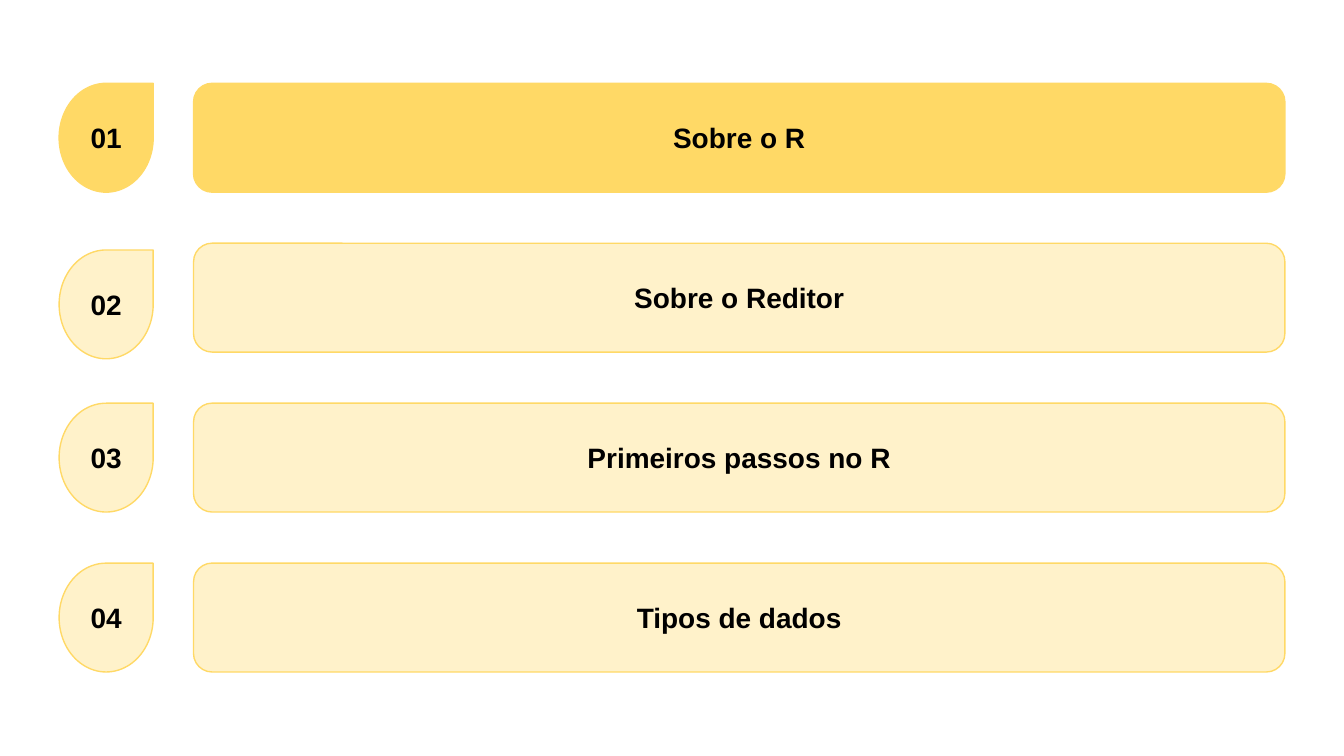
from lxml.etree import SubElement
from pptx import Presentation
from pptx.dml.color import RGBColor
from pptx.enum.shapes import MSO_SHAPE as Preset
from pptx.enum.text import MSO_ANCHOR as Anchor, PP_ALIGN as Align
from pptx.oxml.ns import qn
from pptx.util import Inches, Pt

YELLOW = RGBColor(0xFF, 0xD9, 0x66)
BLACK = RGBColor(0x00, 0x00, 0x00)

TOPICS = [
    {"number": "01", "title": "Sobre o R", "opacity": 100, "drop_shift": 0},
    {"number": "02", "title": "Sobre o Reditor", "opacity": 34, "drop_shift": 0.05},
    {"number": "03", "title": "Primeiros passos no R", "opacity": 34, "drop_shift": 0},
    {"number": "04", "title": "Tipos de dados", "opacity": 34, "drop_shift": 0},
]
SLIDE_WIDTH = 10
SLIDE_HEIGHT = SLIDE_WIDTH * 9 / 16
FIRST_TOP, ROW_STEP, ROW_HEIGHT = 0.62, 1.19, 0.81
DROP_LEFT, DROP_WIDTH = 0.44, 0.7
BAR_LEFT, BAR_WIDTH = 1.44, 8.12


def add_label(slide, text, *, preset, left, top, width, corner, opacity):
    label = slide.shapes.add_shape(
        preset, Inches(left), Inches(top), Inches(width), Inches(ROW_HEIGHT))
    label.adjustments[0] = corner
    label.shadow.inherit = False
    label.fill.solid()
    label.fill.fore_color.rgb = YELLOW
    if opacity < 100:
        color = label.fill._xPr.find(qn("a:solidFill"))[0]
        SubElement(color, qn("a:alpha")).set("val", str(opacity * 1000))
    label.line.color.rgb = YELLOW
    label.line.width = Pt(0.75)

    frame = label.text_frame
    frame.word_wrap = True
    frame.vertical_anchor = Anchor.MIDDLE
    frame.margin_left = frame.margin_right = Inches(0.1)
    frame.margin_top = frame.margin_bottom = Inches(0.1)
    paragraph = frame.paragraphs[0]
    paragraph.alignment = Align.CENTER
    run = paragraph.add_run()
    run.text = text
    run.font.name = "Arial"
    run.font.size = Pt(15)
    run.font.bold = True
    run.font.color.rgb = BLACK


def main():
    deck = Presentation()
    deck.slide_width, deck.slide_height = Inches(SLIDE_WIDTH), Inches(SLIDE_HEIGHT)
    agenda = deck.slides.add_slide(deck.slide_layouts[6])
    for row, topic in enumerate(TOPICS):
        top = FIRST_TOP + row * ROW_STEP
        add_label(agenda, topic["title"], preset=Preset.ROUNDED_RECTANGLE,
                  left=BAR_LEFT, top=top, width=BAR_WIDTH,
                  corner=0.17, opacity=topic["opacity"])
        add_label(agenda, topic["number"], preset=Preset.TEAR,
                  left=DROP_LEFT, top=top + topic["drop_shift"], width=DROP_WIDTH,
                  corner=1, opacity=topic["opacity"])
    deck.save("out.pptx")


if __name__ == "__main__":
    main()
